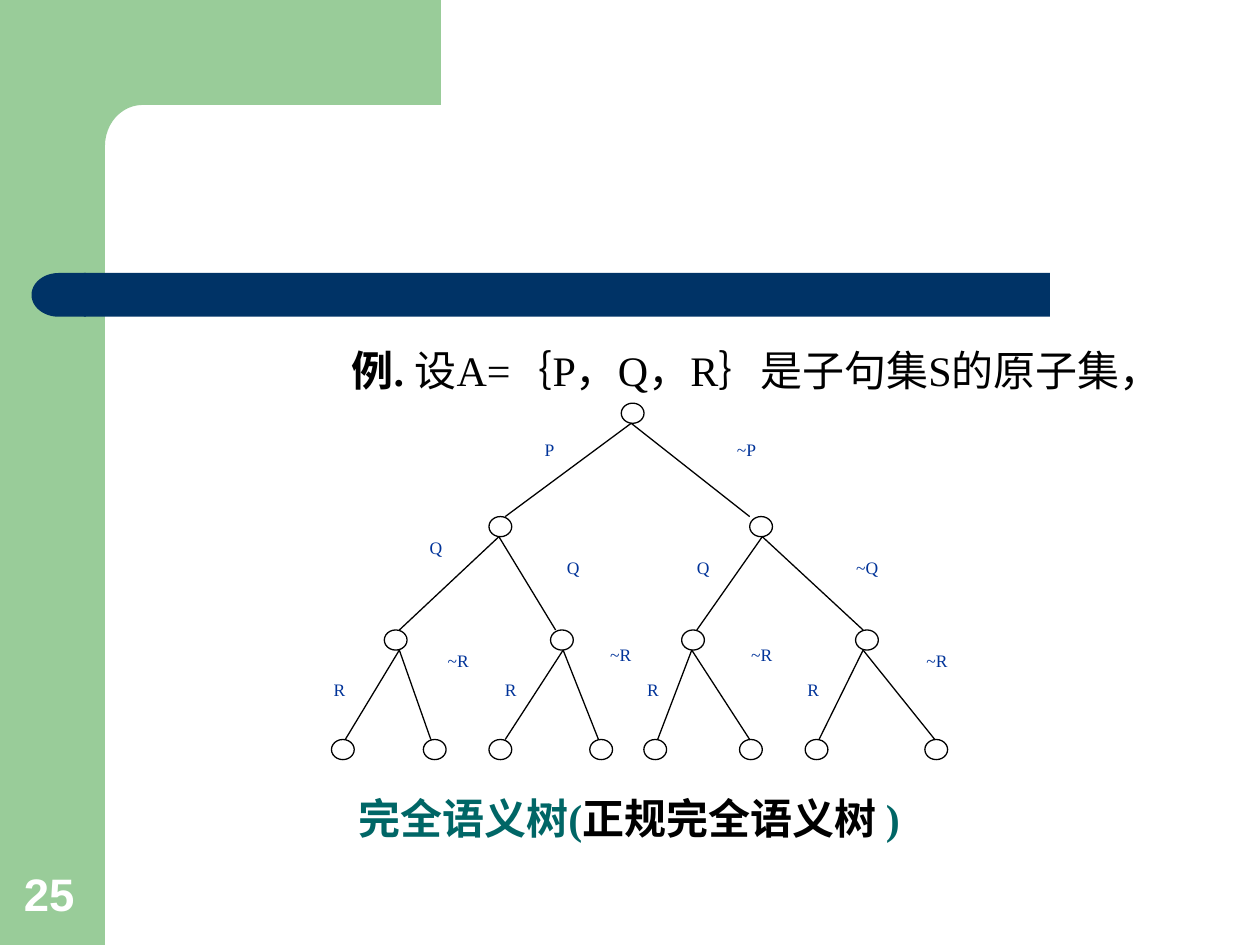
import math

import lxml.etree
import pptx
import pptx.dml.color
import pptx.enum.shapes
import pptx.enum.text
import pptx.oxml.ns
import pptx.util

Pt = pptx.util.Pt
RGBColor = pptx.dml.color.RGBColor
SHAPE = pptx.enum.shapes.MSO_SHAPE
ALIGN = pptx.enum.text.PP_ALIGN
ANCHOR = pptx.enum.text.MSO_ANCHOR

GREEN = RGBColor(0x99, 0xCC, 0x99)
NAVY = RGBColor(0x00, 0x33, 0x66)
TEAL = RGBColor(0x00, 0x66, 0x66)
BLUE = RGBColor(0x00, 0x33, 0x99)
BLACK = RGBColor(0x00, 0x00, 0x00)
WHITE = RGBColor(0xFF, 0xFF, 0xFF)
SERIF = "Times New Roman"

NODE_WIDTH, NODE_HEIGHT = 13, 11.5
LEVEL_TOPS = [230.4, 295.2, 360, 422.6]
# Each node: left edge, x where its parent's line ends, x where its own lines start
LEVELS = [
    [(355, None, 360.7)],
    [(279.4, 288.7, 285.1), (428.4, 428.4, 435.6)],
    [(219.6, 228.2, 228.2), (314.6, 317.5, 321.8),
     (389.5, 398.2, 395.3), (488.9, 493.2, 493.2)],
    [(189.4, 197.3, None), (241.9, 246.2, None), (279.4, 288.7, None),
     (337, 342, None), (367.9, 375.8, None), (422.6, 428.4, None),
     (460.1, 468, None), (528.5, 534.2, None)],
]
# Each label: text, left, top
LABELS = [
    ("P", 292.3, 250.6), ("~P", 402.5, 250.6),
    ("Q", 228.2, 306.7), ("Q", 306.7, 318.2),
    ("Q", 380.9, 318.2), ("~Q", 472.3, 318.2),
    ("R", 172.8, 388), ("~R", 238.3, 371.5),
    ("R", 270.7, 388), ("~R", 331.2, 368),
    ("R", 352, 388), ("~R", 411.8, 368),
    ("R", 443.5, 388), ("~R", 511.9, 371.5),
]


def set_values(target, values):
    for name, value in values.items():
        setattr(target, name, value)


def paint(shape, fill, line=None):
    shape.shadow.inherit = False
    shape.fill.solid()
    shape.fill.fore_color.rgb = fill
    if line is None:
        shape.line.fill.background()
    else:
        shape.line.color.rgb = line
        shape.line.width = Pt(0.75)


def add_block(page, kind, left, top, width, height, fill, line=None):
    shape = page.shapes.add_shape(
        kind, Pt(left), Pt(top), Pt(width), Pt(height))
    paint(shape, fill, line)
    return shape


def add_span(para, text, size, color, bold=False, name=SERIF):
    span = para.add_run()
    span.text = text
    set_values(span.font, {"size": Pt(size), "bold": bold, "name": name})
    span.font.color.rgb = color


def add_backdrop(page):
    add_block(page, SHAPE.RECTANGLE, 0, 0, 60, 540, GREEN)
    # Top band with a rounded inner corner
    corner = [(81.4 - 21.4 * math.sin(angle), 83.5 - 23.5 * math.cos(angle))
              for angle in (math.pi / 24 * step for step in range(13))]
    outline = [(252, 60), *corner, (60, 92), (36, 92), (36, 0)]
    builder = page.shapes.build_freeform(Pt(252), Pt(0))
    builder.add_line_segments([(Pt(x), Pt(y)) for x, y in outline])
    paint(builder.convert_to_shape(), GREEN)
    # Navy bar with a rounded left end
    bar = add_block(page, SHAPE.ROUNDED_RECTANGLE, 48, 156, 552, 25, NAVY)
    bar.adjustments[0] = 0
    cap = add_block(page, SHAPE.FLOWCHART_DELAY, 18, 156, 31, 25, NAVY)
    cap.rotation = 180


def add_page_number(page, number):
    box = page.shapes.add_textbox(Pt(6.5), Pt(491.8), Pt(46), Pt(38))
    set_values(box.text_frame,
               {"word_wrap": True, "vertical_anchor": ANCHOR.BOTTOM})
    add_span(box.text_frame.paragraphs[0], number, 26, WHITE, True, "Arial")


def format_body_para(para, alignment, space_before):
    set_values(para, {"alignment": alignment, "line_spacing": 0.9,
                      "space_before": Pt(space_before)})
    properties = para._p.get_or_add_pPr()
    properties.set("marL", "0")
    properties.set("indent", "0")
    lxml.etree.SubElement(properties, pptx.oxml.ns.qn("a:buNone"))


def fill_body(body):
    set_values(body, {"left": Pt(48), "top": Pt(196.6),
                      "width": Pt(623), "height": Pt(327.6)})
    body.text_frame.auto_size = pptx.enum.text.MSO_AUTO_SIZE.NONE
    example = body.text_frame.paragraphs[0]
    format_body_para(example, ALIGN.RIGHT, 6)
    add_span(example, "例. ", 24, BLACK, True)
    add_span(example, "设A=｛P，Q，R｝是子句集S的原子集，", 24, BLACK)
    # Caption below the tree
    caption = body.text_frame.add_paragraph()
    format_body_para(caption, ALIGN.CENTER, 230)
    for text, color in (("完全语义树(", TEAL), ("正规完全语义树 ", BLACK),
                        (")", TEAL)):
        add_span(caption, text, 24, color, True)


def add_label(page, text, left, top):
    width = 29.5 if text.startswith("~") else 24.5
    box = add_block(page, SHAPE.RECTANGLE, left, top, width, 20, WHITE, WHITE)
    set_values(box.text_frame, {
        "margin_left": 0, "margin_top": 0, "margin_right": 0,
        "margin_bottom": 0, "word_wrap": True, "vertical_anchor": ANCHOR.TOP})
    para = box.text_frame.paragraphs[0]
    para.alignment = ALIGN.RIGHT
    add_span(para, text, 10, BLUE)


def add_branch(page, start_x, start_y, end_x, end_y):
    branch = page.shapes.add_connector(
        pptx.enum.shapes.MSO_CONNECTOR.STRAIGHT,
        Pt(start_x), Pt(start_y), Pt(end_x), Pt(end_y))
    branch.line.color.rgb = BLACK
    branch.line.width = Pt(0.75)
    lxml.etree.SubElement(branch._element.spPr,
                          pptx.oxml.ns.qn("a:effectLst"))


def add_tree(page):
    for label in LABELS:
        add_label(page, *label)
    for depth, (top, nodes) in enumerate(zip(LEVEL_TOPS, LEVELS)):
        for index, (left, entry, _) in enumerate(nodes):
            if depth:
                parent_exit = LEVELS[depth - 1][index // 2][2]
                add_branch(page, parent_exit,
                           LEVEL_TOPS[depth - 1] + NODE_HEIGHT, entry, top)
            add_block(page, SHAPE.OVAL, left, top, NODE_WIDTH, NODE_HEIGHT,
                      WHITE, BLACK)


def main():
    deck = pptx.Presentation()
    set_values(deck, {"slide_width": Pt(720), "slide_height": Pt(540)})
    page = deck.slides.add_slide(deck.slide_layouts[1])
    title = page.shapes.title._element
    title.getparent().remove(title)
    fill_body(page.placeholders[1])
    add_backdrop(page)
    add_page_number(page, "25")
    add_tree(page)
    deck.save("out.pptx")


if __name__ == "__main__":
    main()
